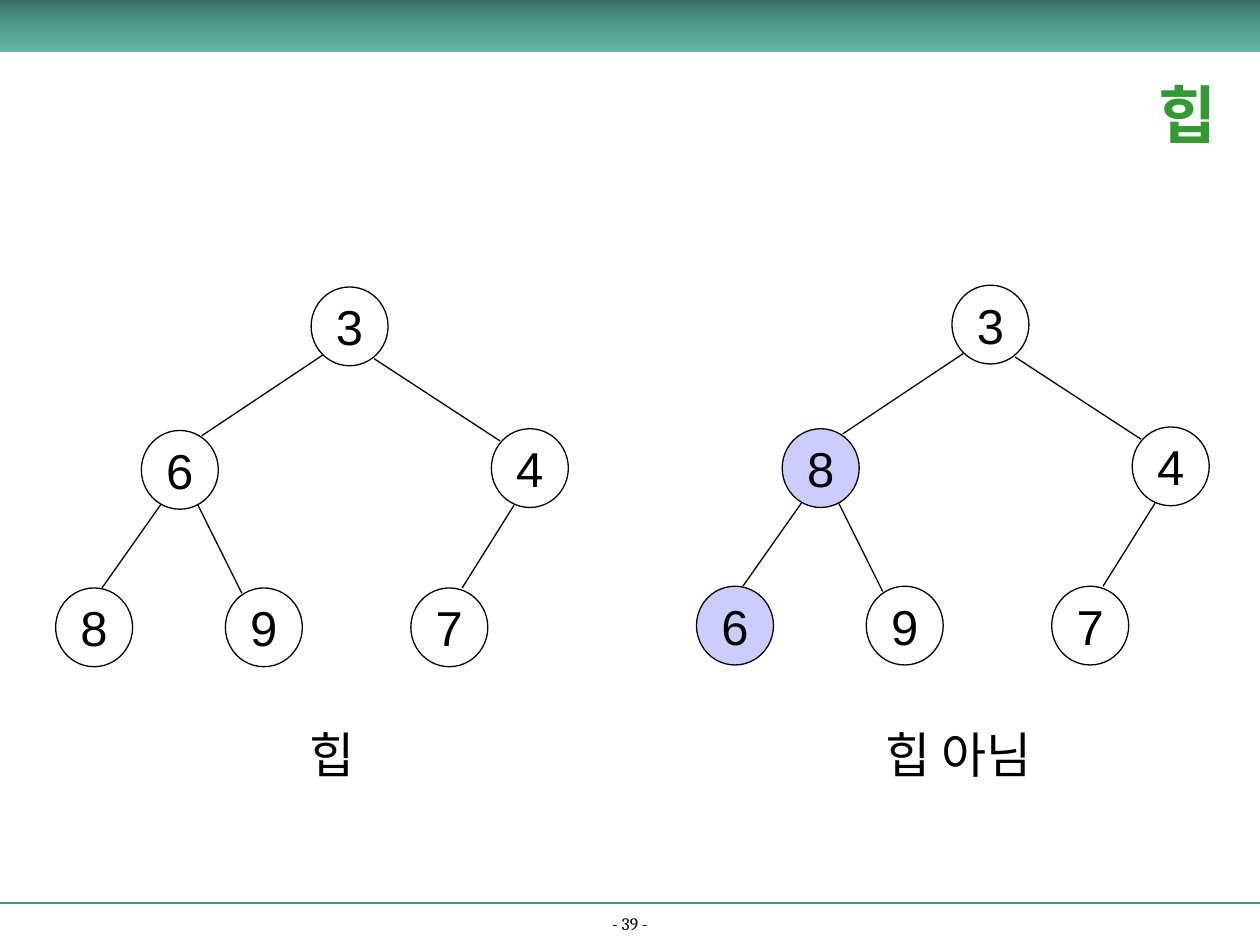
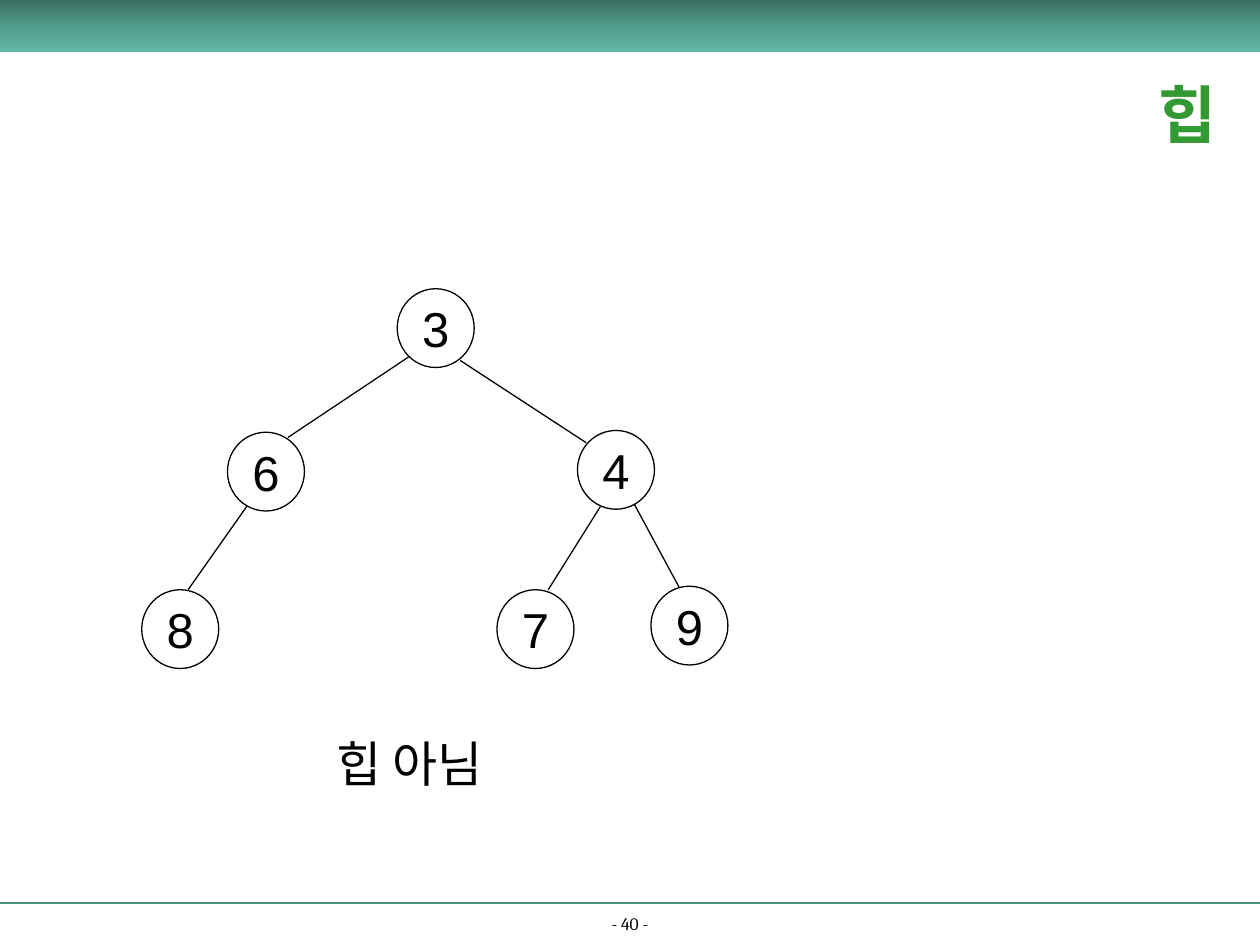
from copy import deepcopy

from lxml import etree
from pptx import Presentation
from pptx.dml.color import RGBColor
from pptx.enum import shapes, text
from pptx.oxml.ns import qn
from pptx.util import Pt

BLACK = RGBColor(0x00, 0x00, 0x00)
TITLE_GREEN = RGBColor(0x33, 0x99, 0x33)
RULE_GREEN = RGBColor(0x4C, 0x92, 0x82)
VIOLATION = RGBColor(0xCC, 0xCC, 0xFF)
BAND_STOPS = [
    (0.0, RGBColor(0x3A, 0x6D, 0x62)),
    (0.5, RGBColor(0x53, 0x9C, 0x8B)),
    (1.0, RGBColor(0x62, 0xB9, 0xA5)),
]
WIDTH, HEIGHT = 720, 540
NODE_WIDTH, NODE_HEIGHT = 44, 45

# Node places in a tree, measured from the root's top left corner
NODE_OFFSETS = {
    "root": (0, 0),
    "L": (-97, 82), "R": (103, 81),
    "LL": (-146, 172), "LR": (-49, 172),
    "RL": (57, 172), "RR": (145, 170),
}
# Edge into each child, from the same corner: x1, y1, x2, y2
EDGES = {
    "L": (6.5, 39, -62.5, 85), "R": (36, 41, 108, 88),
    "LL": (-85.7, 124, -119.5, 172), "LR": (-65, 124, -39.6, 175),
    "RL": (116, 124.6, 86.3, 172), "RR": (135.4, 123, 161.3, 171),
}

# Each slide: page number and its trees
# Each tree: root corner, keys, places breaking the heap order, caption, caption box
SLIDES = [
    (39, [
        ((177.8, 164), {"root": 3, "L": 6, "R": 4, "LL": 8, "LR": 9, "RL": 7},
         (), "힙", (170, 410.4, 42.5)),
        ((544, 163), {"root": 3, "L": 8, "R": 4, "LL": 6, "LR": 9, "RL": 7},
         ("L", "LL"), "힙 아님", (499, 410.4, 106.6)),
    ]),
    (40, [
        ((227, 165), {"root": 3, "L": 6, "R": 4, "LL": 8, "RL": 7, "RR": 9},
         (), "힙 아님", (185, 415.4, 106.6)),
    ]),
]


def write(shape, words, size, font, color, align, anchor, wrap=True, bold=False):
    frame = shape.text_frame
    frame.text = words
    frame.word_wrap = wrap
    frame.vertical_anchor = anchor
    paragraph = frame.paragraphs[0]
    paragraph.alignment = align
    run_font = paragraph.runs[0].font
    run_font.size, run_font.name, run_font.bold = Pt(size), font, bold
    run_font.color.rgb = color


def draw_line(parent, x1, y1, x2, y2, color, width):
    line = parent.add_connector(
        shapes.MSO_CONNECTOR.STRAIGHT, Pt(x1), Pt(y1), Pt(x2), Pt(y2))
    line.line.color.rgb = color
    line.line.width = Pt(width)
    etree.SubElement(line._element.spPr, qn("a:effectLst"))


CENTER, LEFT = text.PP_ALIGN.CENTER, text.PP_ALIGN.LEFT
TOP, MIDDLE, BOTTOM = (text.MSO_ANCHOR.TOP, text.MSO_ANCHOR.MIDDLE,
                       text.MSO_ANCHOR.BOTTOM)

deck = Presentation()
deck.slide_width, deck.slide_height = Pt(WIDTH), Pt(HEIGHT)

for page, trees in SLIDES:
    slide = deck.slides.add_slide(deck.slide_layouts[6])

    # Footer rule and page number
    draw_line(slide.shapes, 0, 516, WIDTH, 516, RULE_GREEN, 1.5)
    page_number = slide.shapes.add_textbox(Pt(0), Pt(521.3), Pt(WIDTH), Pt(16))
    write(page_number, f"- {page} -", 10, "Cambria", BLACK, CENTER, BOTTOM)

    # Top band with a three-stop gradient
    band = slide.shapes.add_shape(
        shapes.MSO_SHAPE.RECTANGLE, Pt(0), Pt(0), Pt(WIDTH), Pt(30))
    band.shadow.inherit = False
    band.line.fill.background()
    band.fill.gradient()
    band.fill.gradient_angle = 270
    stop_list = band._element.spPr.find(qn("a:gradFill")).find(qn("a:gsLst"))
    stop_list.append(deepcopy(stop_list[-1]))
    for stop, (position, color) in zip(band.fill.gradient_stops, BAND_STOPS):
        stop.position = position
        stop.color.rgb = color

    # Title
    title = slide.shapes.add_textbox(Pt(637), Pt(30), Pt(83), Pt(69))
    write(title, "힙", 36, "Cambria", TITLE_GREEN, CENTER, MIDDLE, bold=True)

    for (root_x, root_y), keys, violations, caption, caption_box in trees:
        tree = slide.shapes.add_group_shape().shapes

        # Nodes with their keys
        for place, key in keys.items():
            dx, dy = NODE_OFFSETS[place]
            node = tree.add_shape(
                shapes.MSO_SHAPE.OVAL, Pt(root_x + dx), Pt(root_y + dy),
                Pt(NODE_WIDTH), Pt(NODE_HEIGHT))
            node.shadow.inherit = False
            if place in violations:
                node.fill.solid()
                node.fill.fore_color.rgb = VIOLATION
            else:
                node.fill.background()
            node.line.color.rgb = BLACK
            node.line.width = Pt(0.75)
            write(node, str(key), 28, "Arial", BLACK, CENTER, MIDDLE, wrap=False)

        # Edges to the children that exist
        for place, (x1, y1, x2, y2) in EDGES.items():
            if place in keys:
                draw_line(tree, root_x + x1, root_y + y1,
                          root_x + x2, root_y + y2, BLACK, 0.75)

        # Caption
        left, top, width = caption_box
        label = slide.shapes.add_textbox(Pt(left), Pt(top), Pt(width), Pt(41))
        write(label, caption, 28, "Arial", BLACK, LEFT, TOP, wrap=False)

deck.save("out.pptx")
